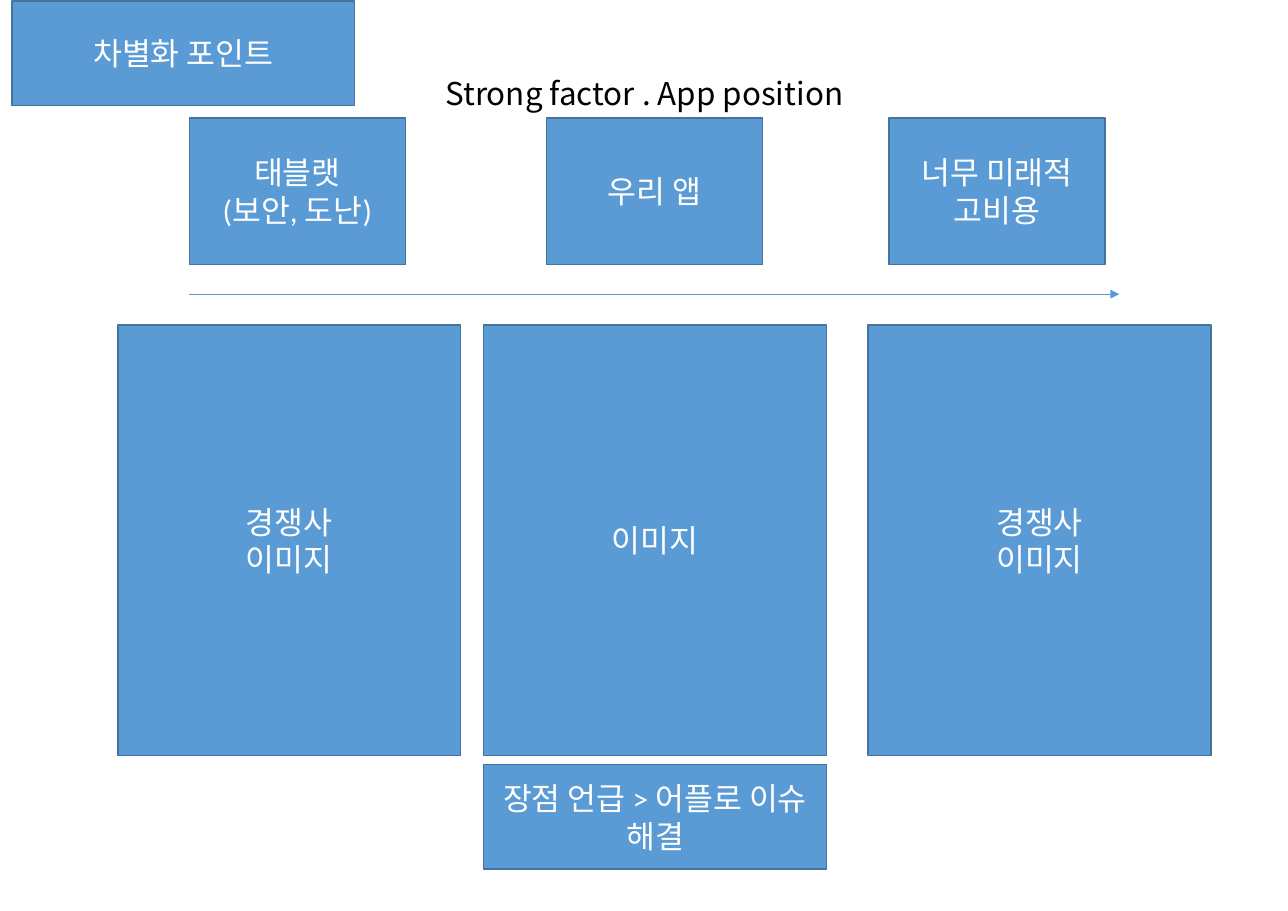
import pptx
import pptx.util
import pptx.dml.color
import pptx.enum.shapes
import pptx.enum.text
import pptx.oxml.ns
from lxml import etree

Inches = pptx.util.Inches
Pt = pptx.util.Pt
KOREAN = "Noto Sans CJK KR"
BLUE, EDGE, WHITE, BLACK = "5B9BD5", "43739E", "FFFFFF", "000000"


def color(code):
    return pptx.dml.color.RGBColor.from_string(code)


def add(parent, tag, **attrs):
    return etree.SubElement(parent, pptx.oxml.ns.qn(tag), attrs)


def write(frame, lines, font, code):
    frame.word_wrap = True
    for i, line in enumerate(lines):
        para = frame.paragraphs[0] if i == 0 else frame.add_paragraph()
        para.alignment = pptx.enum.text.PP_ALIGN.CENTER
        run = para.add_run()
        run.text = line
        run.font.size = Pt(20.5)
        run.font.name = font
        run.font.color.rgb = color(code)
        add(run.font._element, "a:ea", typeface=KOREAN)


def block(slide, box, *lines):
    shape = slide.shapes.add_shape(
        pptx.enum.shapes.MSO_SHAPE.RECTANGLE, *map(Inches, box))
    shape.shadow.inherit = False
    shape.fill.solid()
    shape.fill.fore_color.rgb = color(BLUE)
    shape.line.color.rgb = color(EDGE)
    shape.line.width = Pt(1)
    shape.text_frame.vertical_anchor = pptx.enum.text.MSO_ANCHOR.MIDDLE
    write(shape.text_frame, lines, "Calibri", WHITE)


def title(slide, box):
    label = slide.shapes.add_textbox(*map(Inches, box))
    write(label.text_frame, ["Strong factor . App position"], KOREAN, BLACK)


def axis(slide, left, top, width):
    arrow = slide.shapes.add_connector(
        pptx.enum.shapes.MSO_CONNECTOR.STRAIGHT,
        Inches(left), Inches(top), Inches(left + width), Inches(top))
    arrow.line.color.rgb = color(BLUE)
    arrow.line.width = Pt(0.5)
    add(arrow.line._get_or_add_ln(), "a:tailEnd", type="triangle")
    add(arrow._element.spPr, "a:effectLst")


def row(slide, top, width, height, items):
    for left, lines in items:
        block(slide, (left, top, width, height), *lines)


def main():
    deck = pptx.Presentation()
    deck.slide_width, deck.slide_height = Inches(11.69), Inches(8.27)
    slide = deck.slides.add_slide(deck.slide_layouts[6])

    # Title and position arrow
    title(slide, (2.44, 0.62, 6.82, 0.45))
    axis(slide, 1.72, 2.67, 8.44)

    # Positions along the arrow
    row(slide, 1.07, 1.96, 1.33, [
        (1.72, ["태블랫", "(보안, 도난)"]),
        (4.96, ["우리 앱"]),
        (8.07, ["너무 미래적", "고비용"]),
    ])

    # Image areas
    rival = ["경쟁사", "이미지"]
    row(slide, 2.95, 3.11, 3.91,
        [(1.07, rival), (4.39, ["이미지"]), (7.88, rival)])

    # Corner tag and closing note
    block(slide, (0.11, 0.01, 3.11, 0.95), "차별화 포인트")
    block(slide, (4.39, 6.94, 3.11, 0.95), "장점 언급 > 어플로 이슈 해결")

    deck.save("out.pptx")


if __name__ == "__main__":
    main()
